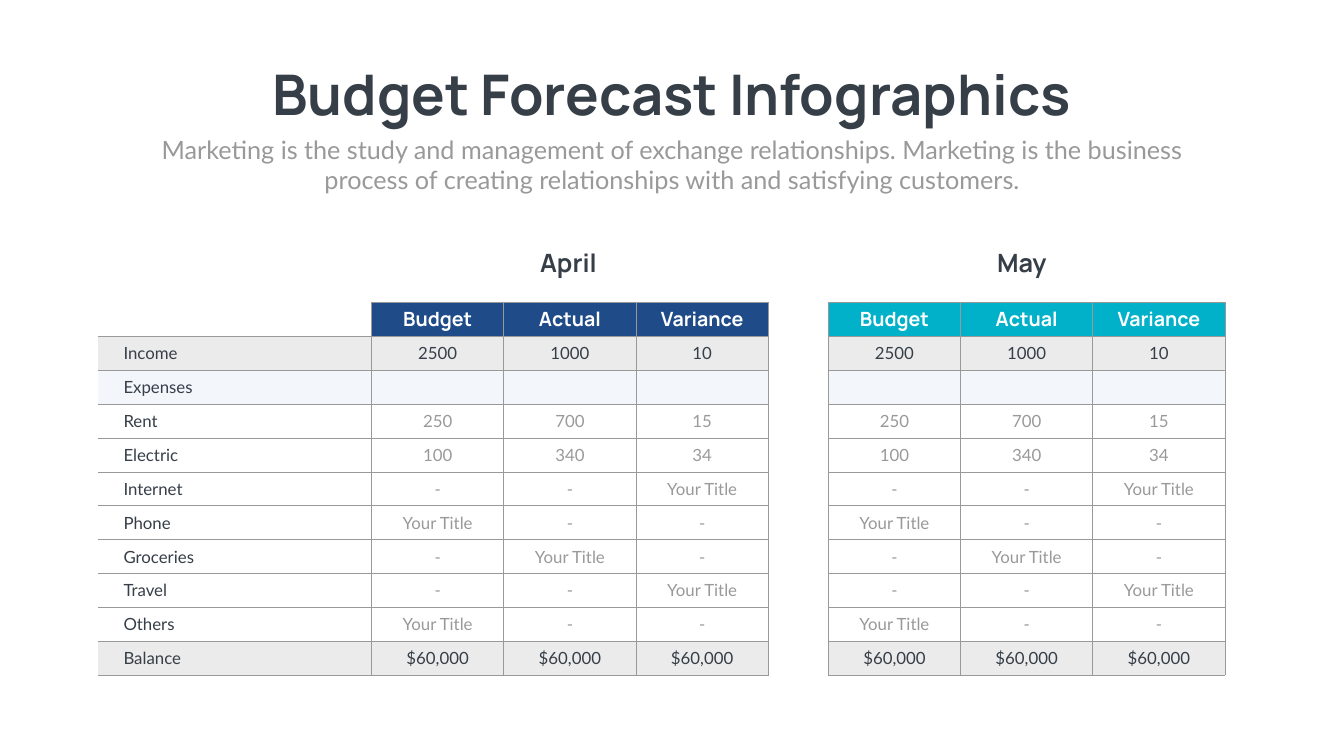
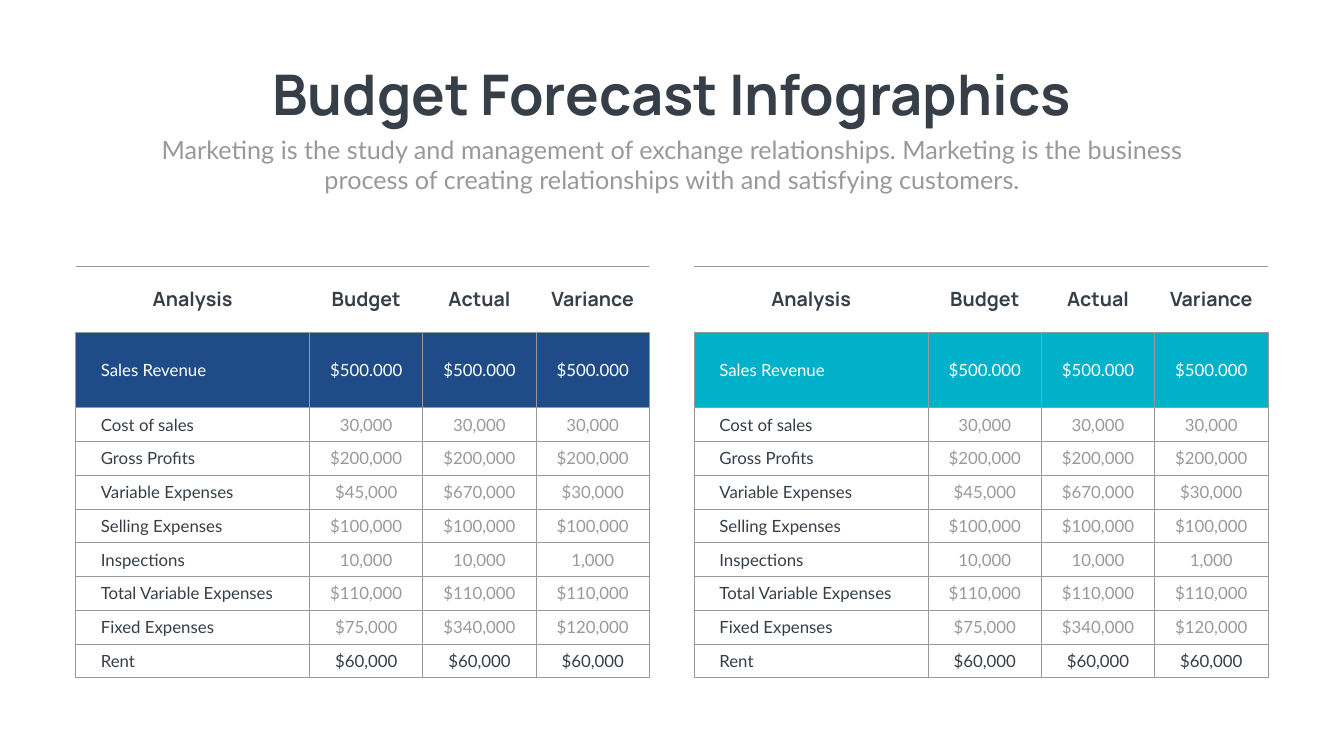
from dataclasses import dataclass, replace

import pptx
import pptx.dml.color
import pptx.enum.text
import pptx.oxml.ns
import pptx.slide
import pptx.util
from lxml import etree
from pptx.util import Inches

ANCHOR = pptx.enum.text.MSO_ANCHOR
ALIGN = pptx.enum.text.PP_ALIGN
NO_TABLE_STYLE = "{2D5ABB26-0587-4C30-8999-92F81FD0307C}"
ALL_EDGES = "LRTB"


@dataclass(frozen=True)
class Theme:
    ink: str = "363E48"
    grey: str = "999999"
    white: str = "FFFFFF"
    blue: str = "1F4C89"
    teal: str = "01B1CA"
    summary: str = "EBEBEB"
    section: str = "C7DAF2"
    section_alpha: int = 20
    heading_font: str = "Manrope"
    body_font: str = "Lato"
    title_size: int = 80
    subtitle_size: int = 36
    header_size: int = 28
    cell_size: int = 24
    border: int = 1


THEME = Theme()


@dataclass(frozen=True)
class TextStyle:
    font: str
    size: int
    color: str
    bold: bool = False


@dataclass(frozen=True)
class Frame:
    left: float
    top: float
    width: float
    height: float


@dataclass(frozen=True)
class CellStyle:
    text: TextStyle
    fill: str | None = None
    alpha: int = 100
    edges: str = ALL_EDGES
    indented: bool = False


@dataclass(frozen=True)
class RowStyle:
    label: CellStyle
    value: CellStyle


@dataclass(frozen=True)
class Row:
    style: RowStyle
    height: float
    label: str
    values: tuple[str, ...]


TITLE = TextStyle(THEME.heading_font, THEME.title_size, THEME.ink, True)
SUBTITLE = TextStyle(THEME.body_font, THEME.subtitle_size, THEME.grey)
MONTH = TextStyle(THEME.heading_font, THEME.subtitle_size, THEME.ink, True)
HEADER = TextStyle(THEME.heading_font, THEME.header_size, THEME.ink, True)
DARK = TextStyle(THEME.body_font, THEME.cell_size, THEME.ink)
MUTED = replace(DARK, color=THEME.grey)
WHITE = replace(DARK, color=THEME.white)

MEASURES = ("Budget", "Actual", "Variance")
FORECAST = (
    ("Income", "2500", "1000", "10"),
    ("Expenses", "", "", ""),
    ("Rent", "250", "700", "15"),
    ("Electric", "100", "340", "34"),
    ("Internet", "-", "-", "Your Title"),
    ("Phone", "Your Title", "-", "-"),
    ("Groceries", "-", "Your Title", "-"),
    ("Travel", "-", "-", "Your Title"),
    ("Others", "Your Title", "-", "-"),
    ("Balance", "$60,000", "$60,000", "$60,000"),
)
ANALYSIS = (
    ("Cost of sales", "30,000", "30,000", "30,000"),
    ("Gross Profits", "$200,000", "$200,000", "$200,000"),
    ("Variable Expenses", "$45,000", "$670,000", "$30,000"),
    ("Selling Expenses", "$100,000", "$100,000", "$100,000"),
    ("Inspections", "10,000", "10,000", "1,000"),
    ("Total Variable Expenses", "$110,000", "$110,000", "$110,000"),
    ("Fixed Expenses", "$75,000", "$340,000", "$120,000"),
    ("Rent", "$60,000", "$60,000", "$60,000"),
)


def body_style(label: TextStyle, value: TextStyle, fill: str | None = None,
               alpha: int = 100, label_edges: str = ALL_EDGES) -> RowStyle:
    return RowStyle(CellStyle(label, fill, alpha, label_edges, indented=True),
                    CellStyle(value, fill, alpha))


def format_paragraph(para, style: TextStyle, align) -> None:
    para.alignment = align
    for span in para.runs:
        span.font.name = style.font
        span.font.size = pptx.util.Pt(style.size)
        span.font.bold = style.bold
        span.font.color.rgb = pptx.dml.color.RGBColor.from_string(style.color)


def add_text(page: pptx.slide.Slide, frame: Frame, text: str, style: TextStyle,
             wrap: bool = False) -> None:
    box = page.shapes.add_textbox(Inches(frame.left), Inches(frame.top),
                                  Inches(frame.width), Inches(frame.height))
    box.text_frame.word_wrap = wrap
    box.text_frame.auto_size = pptx.enum.text.MSO_AUTO_SIZE.SHAPE_TO_FIT_TEXT
    box.text_frame.text = text
    format_paragraph(box.text_frame.paragraphs[0], style, ALIGN.CENTER)


def add_borders(cell, edges: str) -> None:
    """Draw the given edges (L, R, T, B) and clear the others; call before filling."""
    properties = cell._tc.get_or_add_tcPr()
    qn = pptx.oxml.ns.qn
    for edge in ALL_EDGES:
        line = etree.SubElement(properties, qn(f"a:ln{edge}"),
                                w=str(pptx.util.Pt(THEME.border)))
        if edge in edges:
            solid = etree.SubElement(line, qn("a:solidFill"))
            etree.SubElement(solid, qn("a:srgbClr"), val=THEME.grey)
        else:
            etree.SubElement(line, qn("a:noFill"))


def fill_cell(cell, color: str | None, alpha: int) -> None:
    if color is None:
        cell.fill.background()
        return
    cell.fill.solid()
    cell.fill.fore_color.rgb = pptx.dml.color.RGBColor.from_string(color)
    if alpha < 100:
        qn = pptx.oxml.ns.qn
        tint = cell._tc.tcPr.find(f"{qn('a:solidFill')}/{qn('a:srgbClr')}")
        etree.SubElement(tint, qn("a:alpha"), val=str(alpha * 1000))


def write_cell(cell, text: str, style: CellStyle) -> None:
    cell.vertical_anchor = ANCHOR.MIDDLE
    if style.indented:
        cell.margin_left = Inches(0.5)
    cell.text_frame.text = text
    format_paragraph(cell.text_frame.paragraphs[0], style.text,
                     ALIGN.LEFT if style.indented else ALIGN.CENTER)
    add_borders(cell, style.edges)
    fill_cell(cell, style.fill, style.alpha)


def add_budget_table(page: pptx.slide.Slide, frame: Frame, rows: list[Row],
                     label_width: float = 0) -> None:
    """Draw the rows; a label width of zero leaves the label column out."""
    value_width = (frame.width - label_width) / len(MEASURES)
    widths = [label_width] * bool(label_width) + [value_width] * len(MEASURES)
    table = page.shapes.add_table(
        len(rows), len(widths), Inches(frame.left), Inches(frame.top),
        Inches(frame.width), Inches(frame.height)).table
    table.first_row = table.horz_banding = False
    table._tbl.tblPr.find(pptx.oxml.ns.qn("a:tableStyleId")).text = NO_TABLE_STYLE
    for column, width in zip(table.columns, widths):
        column.width = Inches(width)
    for table_row, row in zip(table.rows, rows):
        table_row.height = Inches(row.height)
        entries = [(text, row.style.value) for text in row.values]
        if label_width:
            entries.insert(0, (row.label, row.style.label))
        for cell, (text, style) in zip(table_row.cells, entries):
            write_cell(cell, text, style)


def forecast_rows(accent: str, height: float) -> list[Row]:
    row_height = height / (len(FORECAST) + 1)
    header_text = replace(HEADER, color=THEME.white)
    header = RowStyle(CellStyle(header_text, THEME.white, edges="RB"),
                      CellStyle(header_text, accent))
    plain = body_style(DARK, MUTED, label_edges="RTB")
    summary = body_style(DARK, DARK, THEME.summary, label_edges="RTB")
    section = body_style(DARK, DARK, THEME.section, THEME.section_alpha, "RTB")
    special = {"Income": summary, "Expenses": section, "Balance": summary}
    return [Row(header, row_height, "", MEASURES)] + [
        Row(special.get(label, plain), row_height, label, tuple(values))
        for label, *values in FORECAST]


def analysis_rows(accent: str, height: float) -> list[Row]:
    header_height, revenue_height = 1.3, 1.5
    row_height = (height - header_height - revenue_height) / len(ANALYSIS)
    header = RowStyle(CellStyle(HEADER, THEME.white, edges="TB"),
                      CellStyle(HEADER, edges="TB"))
    revenue = body_style(WHITE, WHITE, accent)
    plain, total = body_style(DARK, MUTED), body_style(DARK, DARK)
    return [
        Row(header, header_height, "Analysis", MEASURES),
        Row(revenue, revenue_height, "Sales Revenue", ("$500.000",) * len(MEASURES)),
    ] + [Row(total if label == "Rent" else plain, row_height, label, tuple(values))
         for label, *values in ANALYSIS]


def add_page(deck) -> pptx.slide.Slide:
    """Add a blank page with the shared title and subtitle."""
    page = deck.slides.add_slide(deck.slide_layouts[6])
    add_text(page, Frame(4.71, 1.14, 17.23, 1.45), "Budget Forecast Infographics", TITLE)
    add_text(page, Frame(2.92, 2.61, 20.82, 1.31),
             "Marketing is the study and management of exchange relationships. "
             "Marketing is the business process of creating relationships with "
             "and satisfying customers.", SUBTITLE, wrap=True)
    return page


def add_forecast_page(deck) -> None:
    page = add_page(deck)
    april = Frame(1.95, 6, 13.29, 7.4)
    may = Frame(16.43, 6, 7.87, 7.4)
    add_budget_table(page, april, forecast_rows(THEME.blue, april.height), label_width=5.42)
    add_budget_table(page, may, forecast_rows(THEME.teal, may.height))
    add_text(page, Frame(10.58, 4.85, 1.39, 0.71), "April", MONTH)
    add_text(page, Frame(19.62, 4.85, 1.3, 0.71), "May", MONTH)


def add_analysis_page(deck) -> None:
    page = add_page(deck)
    for left, accent in ((1.5, THEME.blue), (13.77, THEME.teal)):
        frame = Frame(left, 5.29, 11.38, 8.16)
        add_budget_table(page, frame, analysis_rows(accent, frame.height), label_width=4.64)


def main() -> None:
    deck = pptx.Presentation()
    deck.slide_width, deck.slide_height = Inches(26.66), Inches(15)
    add_forecast_page(deck)
    add_analysis_page(deck)
    deck.save("out.pptx")


if __name__ == "__main__":
    main()
